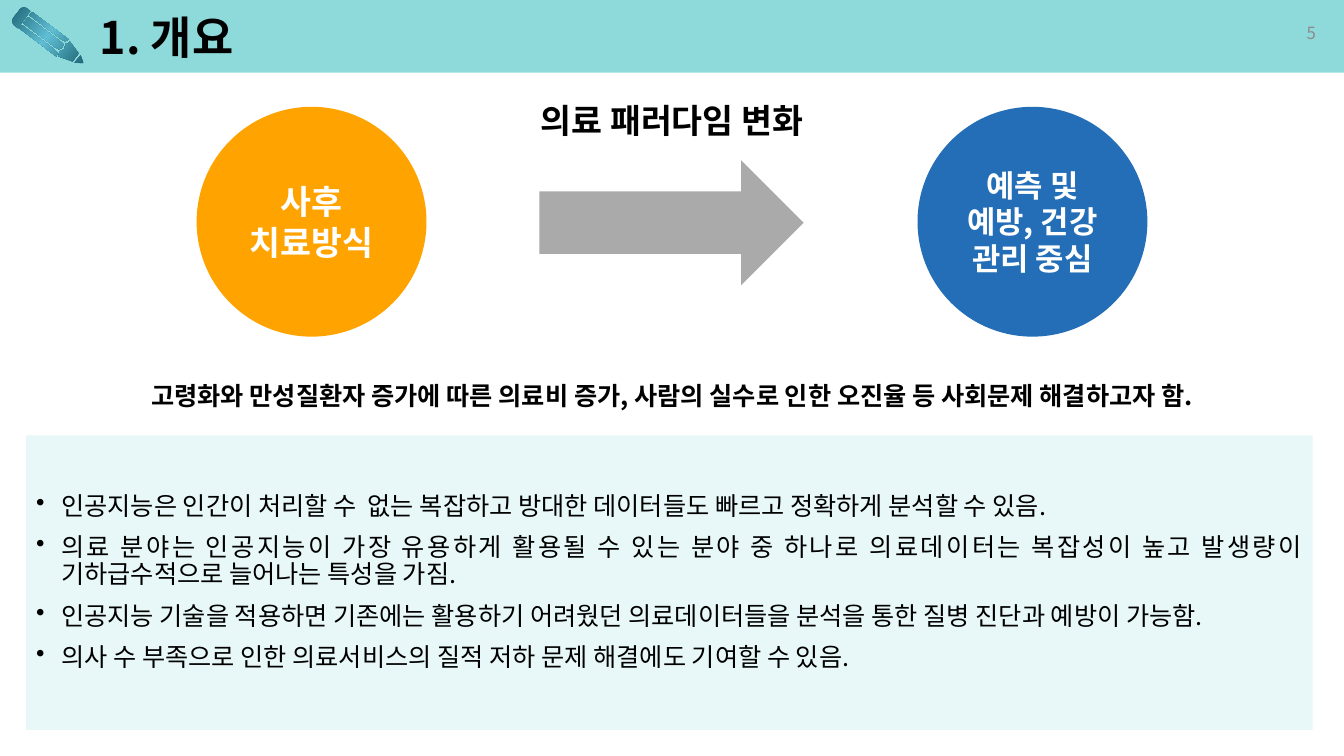
"""Builds the overview slide on the shift in the medical paradigm."""
from copy import deepcopy

from lxml import etree
from pptx import Presentation
from pptx import util as u
from pptx.dml.color import RGBColor
from pptx.enum import shapes, text
from pptx.oxml.ns import qn

FONT = "Noto Sans CJK KR"
COLORS = {
    "band": "8EDADA", "panel": "E8F8F8", "arrow": "AAAAAA",
    "before": "FFA300", "after": "236EB6", "black": "000000",
    "white": "FFFFFF", "number": "8C8C8C",
    "pencil_dark": "206879", "pencil_light": "60BED4",
}
ALIGN = text.PP_ALIGN
MIDDLE = text.MSO_ANCHOR.MIDDLE
KINDS = shapes.MSO_SHAPE

deck = Presentation()
deck.slide_width, deck.slide_height = u.Inches(13.33), u.Inches(7.5)
page = deck.slides.add_slide(deck.slide_layouts[6])


def add_block(kind, place, color):
    block = page.shapes.add_shape(kind, *map(u.Inches, place))
    block.shadow.inherit = False
    block.fill.solid()
    block.fill.fore_color.rgb = RGBColor.from_string(COLORS[color])
    block.line.fill.background()
    return block


def write(box, lines, size, color="black", bold=True, align=ALIGN.CENTER,
          anchor=text.MSO_ANCHOR.TOP, spacing=None):
    frame = box.text_frame
    frame.word_wrap = True
    frame.vertical_anchor = anchor
    frame.text = "\n".join(lines)
    for para in frame.paragraphs:
        para.alignment = align
        para.line_spacing = spacing
        para.font.name = FONT
        para.font.size = u.Pt(size)
        para.font.bold = bold
        para.font.color.rgb = RGBColor.from_string(COLORS[color])
        defaults = para._p.pPr.find(qn("a:defRPr"))
        etree.SubElement(defaults, qn("a:ea")).set("typeface", FONT)


add_block(KINDS.RECTANGLE, (0, 0, 13.33, 0.72), "band")

pencil_parts = [
    [(0.8, 0.55), (0.74, 0.62), (0.83, 0.63)],
    [(0.69, 0.41), (0.68, 0.43), (0.65, 0.43), (0.64, 0.49), (0.59, 0.51),
     (0.58, 0.56), (0.72, 0.61), (0.78, 0.53)],
    [(0.22, 0.25), (0.19, 0.28), (0.56, 0.56), (0.57, 0.53), (0.55, 0.5)],
    [(0.28, 0.17), (0.23, 0.23), (0.56, 0.48), (0.59, 0.49), (0.62, 0.47),
     (0.63, 0.44), (0.61, 0.42)],
    [(0.32, 0.12), (0.29, 0.15), (0.62, 0.4), (0.65, 0.41), (0.68, 0.39)],
    [(0.23, 0.07), (0.2, 0.09), (0.13, 0.18), (0.12, 0.22), (0.14, 0.25),
     (0.18, 0.28), (0.3, 0.11), (0.26, 0.08)],
]
outlines = [[(u.Inches(x), u.Inches(y)) for x, y in part] for part in pencil_parts]
builder = page.shapes.build_freeform(*outlines[0][0])
for index, outline in enumerate(outlines):
    if index:
        builder.move_to(*outline[0])
    builder.add_line_segments(outline[1:], close=True)
pencil = builder.convert_to_shape()
pencil.shadow.inherit = False
pencil.line.fill.background()
pencil.fill.gradient()
pencil.fill.gradient_angle = 323
stop_list = pencil._element.spPr.find(qn("a:gradFill")).find(qn("a:gsLst"))
stop_list.insert(1, deepcopy(stop_list[0]))
pencil_stops = zip(pencil.fill.gradient_stops, (0, 0.5, 1),
                   ("pencil_dark", "pencil_light", "pencil_dark"))
for stop, position, color in pencil_stops:
    stop.position = position
    stop.color.rgb = RGBColor.from_string(COLORS[color])

add_block(KINDS.RIGHT_ARROW, (5.35, 1.59, 2.62, 1.24), "arrow")
for left, color in ((1.95, "before"), (9.1, "after")):
    add_block(KINDS.OVAL, (left, 1.06, 2.28, 2.28), color)

labels = [
    ((0.89, 0.11, 10.87, 0.58), ["1. 개요"], 32,
     {"align": ALIGN.LEFT, "anchor": MIDDLE, "spacing": 0.9}),
    ((4.9, 0.94, 3.53, 0.5), ["의료 패러다임 변화"], 24, {}),
    ((2.19, 1.75, 1.8, 0.91), ["사후", "치료방식"], 24, {"color": "white"}),
    ((9.34, 1.6, 1.8, 1.21), ["예측 및", "예방, 건강 관리 중심"], 22, {"color": "white"}),
    ((0.38, 3.72, 12.57, 0.4),
     ["고령화와 만성질환자 증가에 따른 의료비 증가, 사람의 실수로 인한 오진율 등 "
      "사회문제 해결하고자 함."], 18, {}),
    ((11.97, 0.13, 1.18, 0.4), ["5"], 12,
     {"color": "number", "bold": False, "align": ALIGN.RIGHT, "anchor": MIDDLE}),
]
for place, lines, size, style in labels:
    write(page.shapes.add_textbox(*map(u.Inches, place)), lines, size, **style)

points = [
    "인공지능은 인간이 처리할 수  없는 복잡하고 방대한 데이터들도 빠르고 정확하게 분석할 수 있음.",
    "의료 분야는 인공지능이 가장 유용하게 활용될 수 있는 분야 중 하나로 의료데이터는 "
    "복잡성이 높고 발생량이 기하급수적으로 늘어나는 특성을 가짐.",
    "인공지능 기술을 적용하면 기존에는 활용하기 어려웠던 의료데이터들을 분석을 통한 "
    "질병 진단과 예방이 가능함.",
    "의사 수 부족으로 인한 의료서비스의 질적 저하 문제 해결에도 기여할 수 있음.",
]
panel = add_block(KINDS.RECTANGLE, (0.26, 4.32, 12.76, 2.92), "panel")
write(panel, points, 18, bold=False, align=ALIGN.JUSTIFY, anchor=MIDDLE, spacing=0.9)
for para in panel.text_frame.paragraphs:
    para.space_before = u.Pt(10)
    settings = para._p.pPr
    settings.set("marL", str(u.Inches(0.25)))
    settings.set("indent", str(-u.Inches(0.25)))
    bullet = etree.Element(qn("a:buChar"), char="•")
    settings.find(qn("a:defRPr")).addprevious(bullet)

deck.save("out.pptx")
